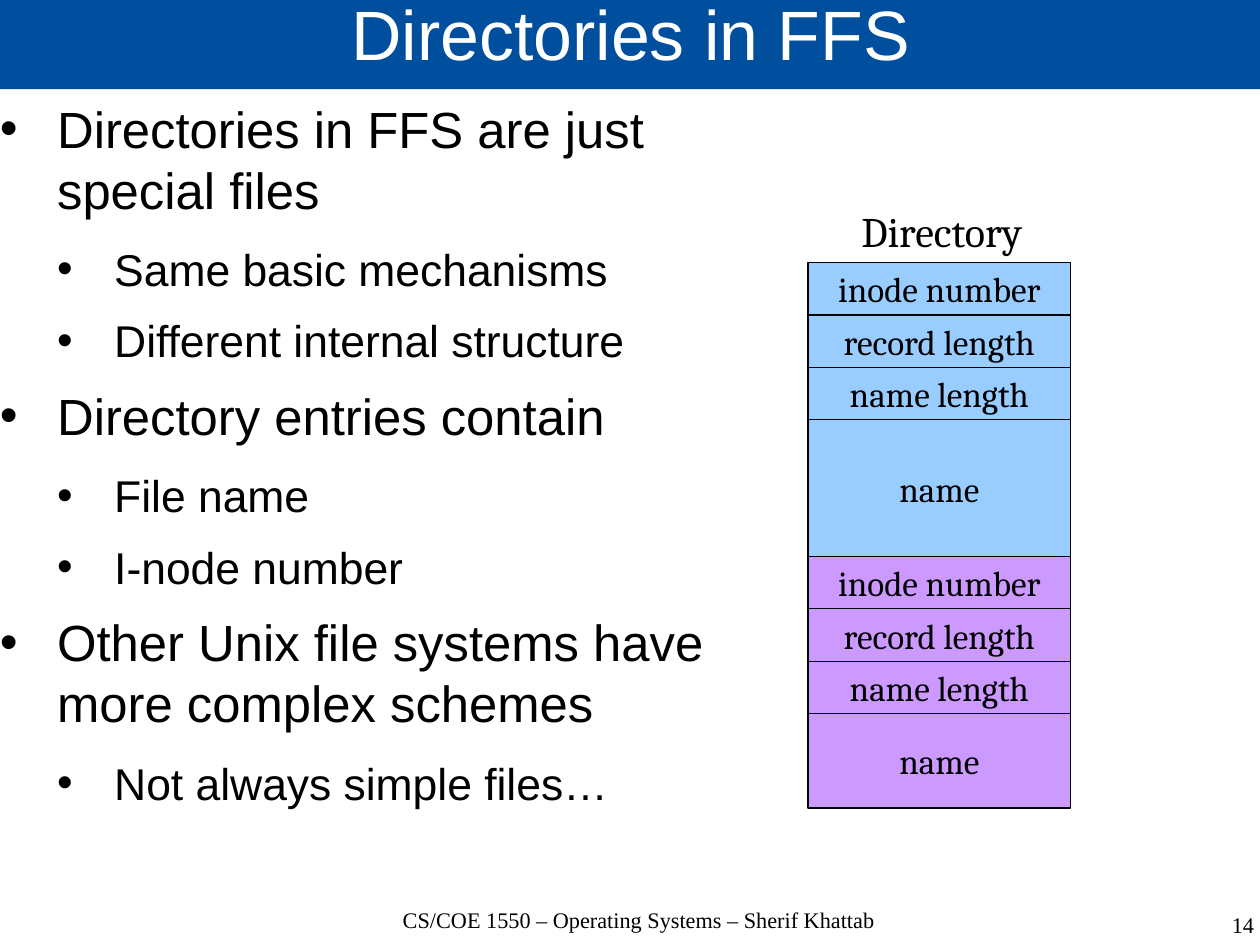
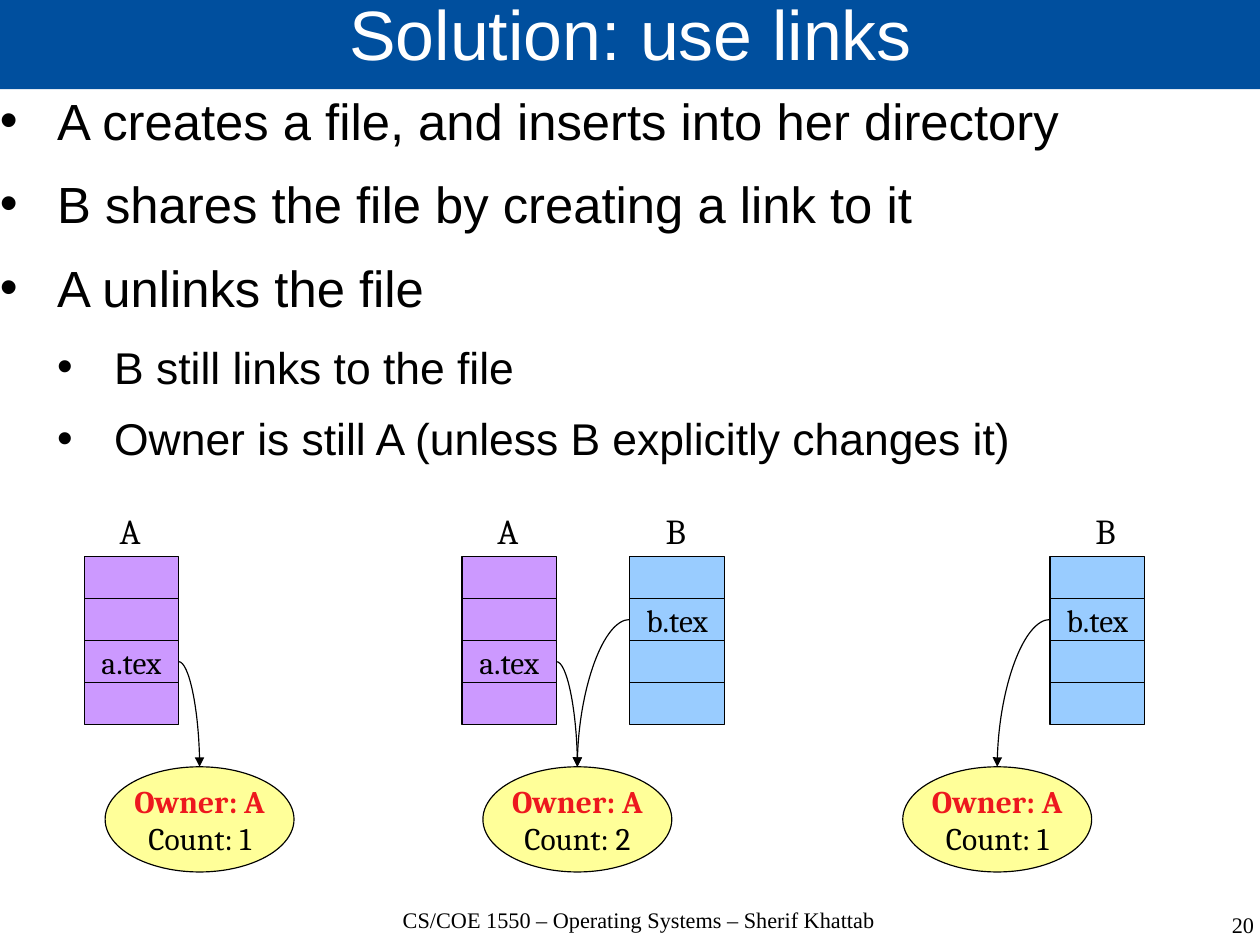
from dataclasses import dataclass
from typing import Any

from lxml.etree import SubElement
from pptx import Presentation
from pptx.dml.color import RGBColor
from pptx.enum.shapes import MSO_CONNECTOR, MSO_SHAPE
from pptx.enum.text import MSO_ANCHOR, PP_ALIGN
from pptx.oxml.ns import qn
from pptx.util import Emu, Pt

SCALE = 3175
SLIDE_WIDTH, SLIDE_HEIGHT = 3175, 2381

WHITE = RGBColor(0xFF, 0xFF, 0xFF)
BLACK = RGBColor(0, 0, 0)
BAND_BLUE = RGBColor(0x00, 0x4F, 0x9E)
SKY = RGBColor(0x99, 0xCC, 0xFF)
LILAC = RGBColor(0xCC, 0x99, 0xFF)
YELLOW = RGBColor(0xFF, 0xFF, 0x99)
RED = RGBColor(0xED, 0x18, 0x1E)

FOOTER = "CS/COE 1550 – Operating Systems – Sherif Khattab"
TITLE_FONT = {"name": "Arial", "size": Pt(44), "color": WHITE}
FOOTER_FONT = {"name": "Times New Roman", "size": Pt(14), "color": BLACK}
FIELD_FONT = {"name": "Cambria", "size": Pt(22.1), "color": BLACK}
HEADING_FONT = {**FIELD_FONT, "size": Pt(26.5)}
FILE_FONT = {**FIELD_FONT, "size": Pt(19.8)}
OWNER_FONT = {**FILE_FONT, "color": RED, "bold": True}
LEVEL_FORMATS = (
    ({"name": "Arial", "size": Pt(32), "color": BLACK}, Pt(14.2)),
    ({"name": "Arial", "size": Pt(28), "color": BLACK}, Pt(11.4)),
)
NO_INSETS = {"margin_left": 0, "margin_top": 0, "margin_right": 0, "margin_bottom": 0}
CENTRED = {"vertical_anchor": MSO_ANCHOR.MIDDLE, "word_wrap": False}
INDENT = 144

FIELD_LEFT, FIELD_TOP, FIELD_WIDTH, FIELD_HEIGHT = 2036, 662, 662, 132
ROW_TOP, ROW_WIDTH, ROW_HEIGHT, ROW_COUNT = 1402, 238, 106, 4
INODE_TOP, INODE_WIDTH, INODE_HEIGHT = 1932, 476, 265
TOP_SITE, LEFT_SITE, RIGHT_SITE = 0, 1, 3


@dataclass(frozen=True)
class Box:
    left: int
    top: int
    width: int
    height: int

    def emu(self) -> tuple[Emu, ...]:
        return tuple(Emu(value * SCALE) for value in (self.left, self.top, self.width, self.height))


@dataclass(frozen=True)
class Bullet:
    text: str
    level: int = 0


@dataclass(frozen=True)
class Entry:
    color: RGBColor
    name_height: int


@dataclass(frozen=True)
class Owner:
    label: str
    color: RGBColor
    file_name: str
    file_row: int
    link_site: int


@dataclass(frozen=True)
class Directory:
    owner: Owner
    left: int
    label_left: int


@dataclass(frozen=True)
class Inode:
    left: int
    count: int
    directories: tuple[Directory, ...]


OWNER_A = Owner("A", LILAC, "a.tex", 2, RIGHT_SITE)
OWNER_B = Owner("B", SKY, "b.tex", 1, LEFT_SITE)

ENTRIES = (Entry(SKY, 344), Entry(LILAC, 238))
INODES = (
    Inode(265, 1, (Directory(OWNER_A, 212, 268),)),
    Inode(1217, 2, (Directory(OWNER_A, 1164, 1220), Directory(OWNER_B, 1587, 1643))),
    Inode(2275, 1, (Directory(OWNER_B, 2646, 2726),)),
)
DIRECTORY_BULLETS = (
    Bullet("Directories in FFS are just special files"),
    Bullet("Same basic mechanisms", 1),
    Bullet("Different internal structure", 1),
    Bullet("Directory entries contain"),
    Bullet("File name", 1),
    Bullet("I-node number", 1),
    Bullet("Other Unix file systems have more complex schemes"),
    Bullet("Not always simple files…", 1),
)
LINK_BULLETS = (
    Bullet("A creates a file, and inserts into her directory"),
    Bullet("B shares the file by creating a link to it"),
    Bullet("A unlinks the file"),
    Bullet("B still links to the file", 1),
    Bullet("Owner is still A (unless B explicitly changes it)", 1),
)


def apply(target: Any, values: dict[str, Any]) -> None:
    for name, value in values.items():
        setattr(target, name, value)


def add_span(para: Any, text: str, font: dict[str, Any]) -> None:
    span = para.add_run()
    span.text = text
    apply(span.font, {name: value for name, value in font.items() if name != "color"})
    span.font.color.rgb = font["color"]


def add_text(page: Any, box: Box, text: str, font: dict[str, Any],
             frame_format: dict[str, Any], para_format: dict[str, Any]) -> None:
    frame = page.shapes.add_textbox(*box.emu()).text_frame
    apply(frame, frame_format)
    para = frame.paragraphs[0]
    apply(para, para_format)
    add_span(para, text, font)


def add_filled(page: Any, kind: MSO_SHAPE, box: Box, color: RGBColor, outlined: bool = True) -> Any:
    shape = page.shapes.add_shape(kind, *box.emu())
    shape.shadow.inherit = False
    shape.fill.solid()
    shape.fill.fore_color.rgb = color
    if outlined:
        shape.line.color.rgb = BLACK
        shape.line.width = Pt(0.75)
    else:
        shape.line.fill.background()
    apply(shape.text_frame, CENTRED)
    shape.text_frame.paragraphs[0].alignment = PP_ALIGN.CENTER
    return shape


def add_bullets(page: Any, box: Box, bullets: tuple[Bullet, ...]) -> None:
    frame = page.shapes.add_textbox(*box.emu()).text_frame
    apply(frame, {**NO_INSETS, "word_wrap": True})
    for index, bullet in enumerate(bullets):
        para = frame.add_paragraph() if index else frame.paragraphs[0]
        properties = para._p.get_or_add_pPr()
        properties.set("marL", str(INDENT * (bullet.level + 1) * SCALE))
        properties.set("indent", str(-INDENT * SCALE))
        color = SubElement(properties, qn("a:buClr"))
        SubElement(color, qn("a:srgbClr"), val=str(BLACK))
        SubElement(properties, qn("a:buFont"), typeface="Arial")
        SubElement(properties, qn("a:buChar"), char="•")
        font, gap = LEVEL_FORMATS[bullet.level]
        apply(para, {"level": bullet.level, "space_after": gap})
        add_span(para, bullet.text, font)


def add_page(deck: Any, title: str, number: int) -> Any:
    page = deck.slides.add_slide(deck.slide_layouts[6])
    band = add_filled(page, MSO_SHAPE.RECTANGLE, Box(0, -7, 3180, 232), BAND_BLUE, outlined=False)
    apply(band.text_frame, {**NO_INSETS, "word_wrap": True})
    para = band.text_frame.paragraphs[0]
    para.line_spacing = 0.69
    add_span(para, title, TITLE_FONT)
    for box, text, alignment in (
        (Box(884, 2287, 1452, 158), FOOTER, PP_ALIGN.CENTER),
        (Box(2431, 2301, 729, 158), str(number), PP_ALIGN.RIGHT),
    ):
        add_text(page, box, text, FOOTER_FONT, {**NO_INSETS, "word_wrap": True},
                 {"alignment": alignment, "line_spacing": 0.96})
    return page


def add_entries(page: Any) -> None:
    top = FIELD_TOP
    for entry in ENTRIES:
        fields = (("inode number", FIELD_HEIGHT), ("record length", FIELD_HEIGHT),
                  ("name length", FIELD_HEIGHT), ("name", entry.name_height))
        for text, height in fields:
            field = add_filled(page, MSO_SHAPE.RECTANGLE,
                               Box(FIELD_LEFT, top, FIELD_WIDTH, height), entry.color)
            add_span(field.text_frame.paragraphs[0], text, FIELD_FONT)
            top += height
    add_text(page, Box(2142, 504, 467, 158), "Directory", HEADING_FONT, {"word_wrap": False}, {})


def add_directory(page: Any, directory: Directory) -> Any:
    owner = directory.owner
    rows = [
        add_filled(page, MSO_SHAPE.RECTANGLE,
                   Box(directory.left, ROW_TOP + index * ROW_HEIGHT, ROW_WIDTH, ROW_HEIGHT),
                   owner.color)
        for index in range(ROW_COUNT)
    ]
    file_row = rows[owner.file_row]
    add_span(file_row.text_frame.paragraphs[0], owner.file_name, FILE_FONT)
    add_text(page, Box(directory.label_left, 1269, 120, 135), owner.label, FIELD_FONT,
             {"word_wrap": False}, {"alignment": PP_ALIGN.CENTER})
    return file_row


def add_link(page: Any, file_row: Any, site: int, inode: Any) -> None:
    link = page.shapes.add_connector(MSO_CONNECTOR.CURVE, 0, 0, 0, 0)
    link.begin_connect(file_row, site)
    link.end_connect(inode, TOP_SITE)
    link.line.color.rgb = BLACK
    link.line.width = Pt(0.75)
    properties = link._element.spPr
    properties.find(qn("a:prstGeom")).set("prst", "curvedConnector2")
    SubElement(properties.find(qn("a:ln")), qn("a:tailEnd"), type="triangle")
    SubElement(properties, qn("a:effectLst"))


def add_inode(page: Any, inode: Inode) -> None:
    ellipse = add_filled(page, MSO_SHAPE.OVAL,
                         Box(inode.left, INODE_TOP, INODE_WIDTH, INODE_HEIGHT), YELLOW)
    para = ellipse.text_frame.paragraphs[0]
    add_span(para, "Owner: A", OWNER_FONT)
    para.add_line_break()
    add_span(para, f"Count: {inode.count}", FILE_FONT)
    for directory in inode.directories:
        file_row = add_directory(page, directory)
        add_link(page, file_row, directory.owner.link_site, ellipse)


def main() -> None:
    deck = Presentation()
    deck.slide_width = Emu(SLIDE_WIDTH * SCALE)
    deck.slide_height = Emu(SLIDE_HEIGHT * SCALE)

    page = add_page(deck, "Directories in FFS", 14)
    add_bullets(page, Box(0, 245, 1860, 2051), DIRECTORY_BULLETS)
    add_entries(page)

    page = add_page(deck, "Solution: use links", 20)
    add_bullets(page, Box(0, 225, 3180, 2068), LINK_BULLETS)
    for inode in INODES:
        add_inode(page, inode)

    deck.save("out.pptx")


if __name__ == "__main__":
    main()
